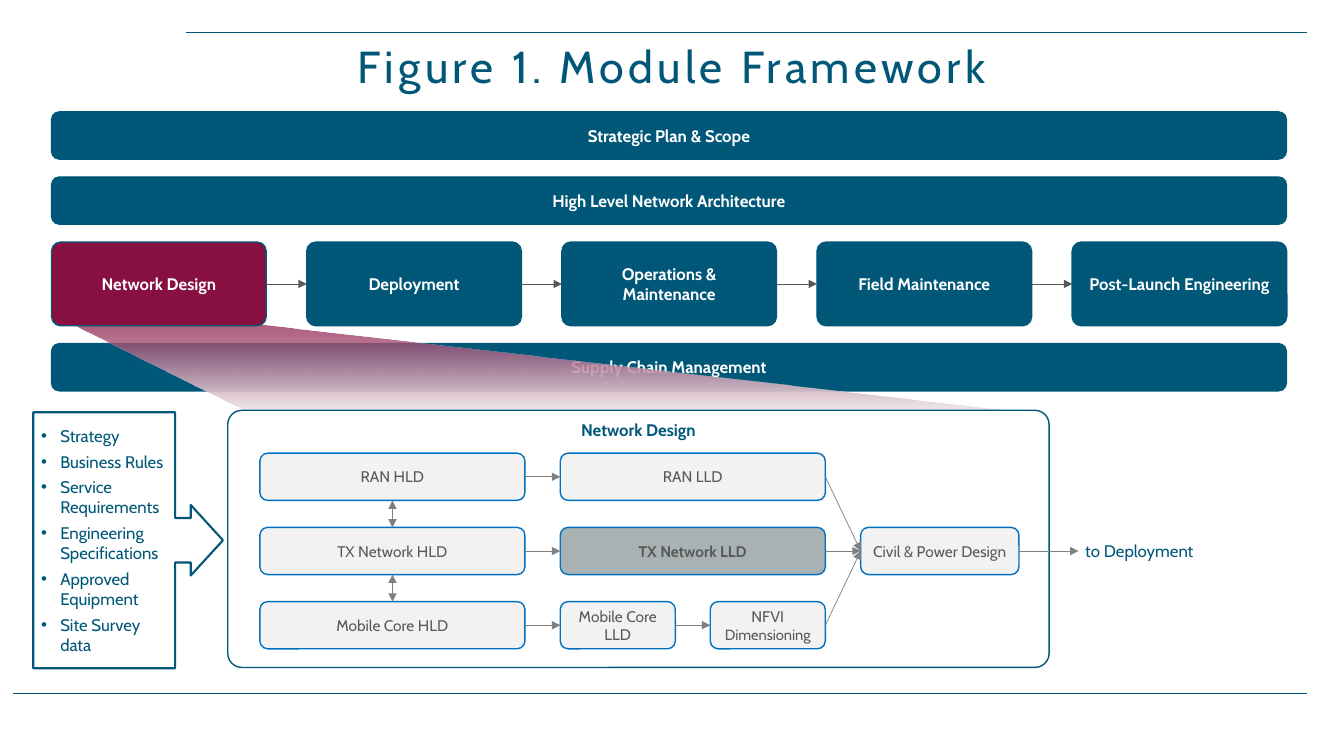
from dataclasses import dataclass

from lxml import etree
from pptx import Presentation
from pptx.dml.color import RGBColor
from pptx.enum.shapes import MSO_CONNECTOR, MSO_SHAPE
from pptx.enum.text import MSO_ANCHOR, MSO_AUTO_SIZE, PP_ALIGN
from pptx.oxml.ns import qn
from pptx.util import Cm, Pt

STRAIGHT = MSO_CONNECTOR.STRAIGHT
ROUNDED = MSO_SHAPE.ROUNDED_RECTANGLE
CALLOUT = MSO_SHAPE.RIGHT_ARROW_CALLOUT
TOP, MIDDLE, BOTTOM = MSO_ANCHOR.TOP, MSO_ANCHOR.MIDDLE, MSO_ANCHOR.BOTTOM
LEFT, CENTER = PP_ALIGN.LEFT, PP_ALIGN.CENTER
NO_FIT, GROW = MSO_AUTO_SIZE.NONE, MSO_AUTO_SIZE.SHAPE_TO_FIT_TEXT
SIDE_TOP, SIDE_LEFT, SIDE_BOTTOM, SIDE_RIGHT = range(4)


@dataclass(frozen=True)
class Theme:
    font: str = "Cabin"
    teal: str = "005778"
    wine: str = "870F42"
    white: str = "FFFFFF"
    pale: str = "F2F2F2"
    gray: str = "A8B2B2"
    blue: str = "0070C0"
    dark: str = "595959"
    link: str = "808080"
    title_size: float = 32
    label_size: float = 12
    step_size: float = 11
    tight_size: float = 10.5


THEME = Theme()


def rgb(color):
    return RGBColor.from_string(color)


def write(para, text, size=THEME.label_size, color=THEME.teal, bold=False, align=CENTER):
    """Add one formatted span to a paragraph."""
    para.alignment = align
    span = para.add_run()
    span.text = text
    span.font.name = THEME.font
    span.font.size = Pt(size)
    span.font.bold = bold
    span.font.color.rgb = rgb(color)
    return span


class SlideBuilder:
    def __init__(self, page, theme):
        self.page = page
        self.theme = theme

    def title(self, text, left, top, width, height):
        box = self.page.shapes.title
        box.left, box.top, box.width, box.height = Cm(left), Cm(top), Cm(width), Cm(height)
        frame = box.text_frame
        frame.auto_size = NO_FIT
        frame.vertical_anchor = BOTTOM
        frame.paragraphs[0].line_spacing = 0.8
        span = write(frame.paragraphs[0], text, size=self.theme.title_size)
        span.font._element.set("spc", "300")

    def box(self, left, top, width, height, text="", fill=None, line=THEME.teal, weight=1,
            kind=ROUNDED, corners=(), anchor=MIDDLE, **text_format):
        box = self.page.shapes.add_shape(kind, Cm(left), Cm(top), Cm(width), Cm(height))
        box.shadow.inherit = False
        for index, value in enumerate(corners):
            box.adjustments[index] = value
        if fill:
            box.fill.solid()
            box.fill.fore_color.rgb = rgb(fill)
        else:
            box.fill.background()
        box.line.color.rgb = rgb(line)
        box.line.width = Pt(weight)
        box.text_frame.word_wrap = True
        box.text_frame.vertical_anchor = anchor
        if text:
            write(box.text_frame.paragraphs[0], text, **text_format)
        return box

    def module(self, left, top, width, height, text, fill=THEME.teal, **options):
        return self.box(left, top, width, height, text, fill, color=self.theme.white,
                        bold=True, **options)

    def step(self, left, top, width, text, fill=THEME.pale, bold=False):
        return self.box(left, top, width, STEP_HEIGHT, text, fill, self.theme.blue,
                        size=self.theme.step_size, color=self.theme.dark, bold=bold)

    def line(self, start, end, color=THEME.teal, weight=1, ends=()):
        points = [Cm(value) for value in (*start, *end)]
        connector = self.page.shapes.add_connector(STRAIGHT, *points)
        connector.line.color.rgb = rgb(color)
        connector.line.width = Pt(weight)
        properties = connector.element.spPr
        outline = properties.find(qn("a:ln"))
        for end_name in ends:
            etree.SubElement(outline, qn(end_name), type="triangle")
        etree.SubElement(properties, qn("a:effectLst"))
        return connector

    def link(self, source, target, color=THEME.link, sides=(SIDE_RIGHT, SIDE_LEFT),
             ends=("a:tailEnd",)):
        connector = self.line((0, 0), (0, 0), color, 0.5, ends)
        connector.begin_connect(source, sides[0])
        connector.end_connect(target, sides[1])

    def wedge(self, points, opacity):
        corners = [(Cm(x), Cm(y)) for x, y in points]
        outline = self.page.shapes.build_freeform(*corners[0])
        outline.add_line_segments(corners[1:], close=True)
        wedge = outline.convert_to_shape()
        wedge.shadow.inherit = False
        wedge.line.fill.background()
        wedge.fill.gradient()
        wedge.fill.gradient_angle = 270
        for stop, color in zip(wedge.fill.gradient_stops, (self.theme.wine, self.theme.pale)):
            stop.color.rgb = rgb(color)
        first_color = next(wedge.element.iter(qn("a:srgbClr")))
        etree.SubElement(first_color, qn("a:alpha"), val=str(opacity * 1000))

    def label(self, left, top, width, height, text):
        box = self.page.shapes.add_textbox(Cm(left), Cm(top), Cm(width), Cm(height))
        box.text_frame.word_wrap = False
        box.text_frame.auto_size = GROW
        write(box.text_frame.paragraphs[0], text, align=LEFT)

    def bullets(self, box, items):
        frame = box.text_frame
        frame.margin_left = frame.margin_right = Cm(0.2)
        for index, item in enumerate(items):
            para = frame.add_paragraph() if index else frame.paragraphs[0]
            write(para, item, align=LEFT)
            para.space_before = Pt(4)
            properties = para._p.get_or_add_pPr()
            properties.set("marL", str(Cm(0.48)))
            properties.set("indent", str(-Cm(0.48)))
            etree.SubElement(properties, qn("a:buFont"), typeface="Arial")
            etree.SubElement(properties, qn("a:buChar"), char="•")


# Framework grid, in centimetres
EDGE, BAR_WIDTH, BAR_HEIGHT = 1.3, 31.12, 1.19
STAGE_TOP, STAGE_WIDTH, STAGE_HEIGHT, STAGE_PITCH = 6.1, 5.41, 2.11, 6.43
STAGES = ["Network Design", "Deployment", "Operations & Maintenance",
          "Field Maintenance", "Post-Launch Engineering"]

# Design panel grid
HLD_LEFT, LLD_LEFT, STEP_WIDTH, STEP_HEIGHT = 6.55, 14.12, 6.68, 1.19
HALF_WIDTH = 2.9
ROWS = [11.42 + 1.87 * row for row in range(3)]
INPUTS = ["Strategy", "Business Rules", "Service Requirements",
          "Engineering Specifications", "Approved Equipment", "Site Survey data"]


def main():
    deck = Presentation()
    deck.slide_width, deck.slide_height = Cm(33.87), Cm(19.05)
    slide = SlideBuilder(deck.slides.add_slide(deck.slide_layouts[5]), THEME)

    # Title and page rules
    slide.line((4.68, 0.82), (32.95, 0.82))
    slide.line((0.33, 17.47), (32.95, 17.47))
    slide.title("Figure 1. Module Framework", 0, 0.92, 33.87, 1.52)

    # Full-width modules, the lowest one under the zoom wedge
    slide.module(EDGE, 8.66, BAR_WIDTH, BAR_HEIGHT, "Supply Chain Management")
    slide.wedge([(1.32, 7.92), (6.15, 10.31), (26.19, 10.41), (6.32, 8.15)], opacity=71)
    slide.module(EDGE, 2.82, BAR_WIDTH, BAR_HEIGHT, "Strategic Plan & Scope")
    slide.module(EDGE, 4.46, BAR_WIDTH, BAR_HEIGHT, "High Level Network Architecture")

    # Chain of stages
    stages = [slide.module(EDGE + index * STAGE_PITCH, STAGE_TOP, STAGE_WIDTH, STAGE_HEIGHT,
                           name, fill=THEME.teal if index else THEME.wine, corners=[0.11])
              for index, name in enumerate(STAGES)]
    for source, target in zip(stages, stages[1:]):
        slide.link(source, target, THEME.dark)

    # Design panel and its steps
    slide.box(5.74, 10.34, 20.7, 6.48, "Network Design", THEME.white, corners=[0.055],
              anchor=TOP, bold=True)
    high = [slide.step(HLD_LEFT, top, STEP_WIDTH, name)
            for top, name in zip(ROWS, ["RAN HLD", "TX Network HLD", "Mobile Core HLD"])]
    ran = slide.step(LLD_LEFT, ROWS[0], STEP_WIDTH, "RAN LLD")
    transport = slide.step(LLD_LEFT, ROWS[1], STEP_WIDTH, "TX Network LLD", THEME.gray, True)
    core = slide.step(LLD_LEFT, ROWS[2], HALF_WIDTH, "Mobile Core LLD")
    sizing = slide.step(LLD_LEFT + STEP_WIDTH - HALF_WIDTH, ROWS[2], HALF_WIDTH, "NFVI ")
    write(sizing.text_frame.paragraphs[0], "Dimensioning", THEME.tight_size, THEME.dark)
    civil = slide.step(21.69, ROWS[1], 3.99, "Civil & Power Design")

    # Step links
    for source, target in [*zip(high, (ran, transport, core)), (core, sizing),
                           (ran, civil), (transport, civil), (sizing, civil)]:
        slide.link(source, target)
    for upper, lower in zip(high, high[1:]):
        slide.link(lower, upper, sides=(SIDE_TOP, SIDE_BOTTOM), ends=("a:headEnd", "a:tailEnd"))

    # Way out to deployment
    exit_height = ROWS[1] + STEP_HEIGHT / 2
    way_out = slide.line((25.68, exit_height), (27.18, exit_height), THEME.link, 0.5,
                         ("a:tailEnd",))
    way_out.begin_connect(civil, SIDE_RIGHT)
    slide.label(27.1, 13.51, 3.33, 0.76, "to Deployment")

    # Inputs
    inputs = slide.box(0.84, 10.39, 4.78, 6.45, weight=1.5, kind=CALLOUT,
                       corners=[0.234, 0.186, 0.17, 0.748])
    slide.bullets(inputs, INPUTS)

    deck.save("out.pptx")


if __name__ == "__main__":
    main()
